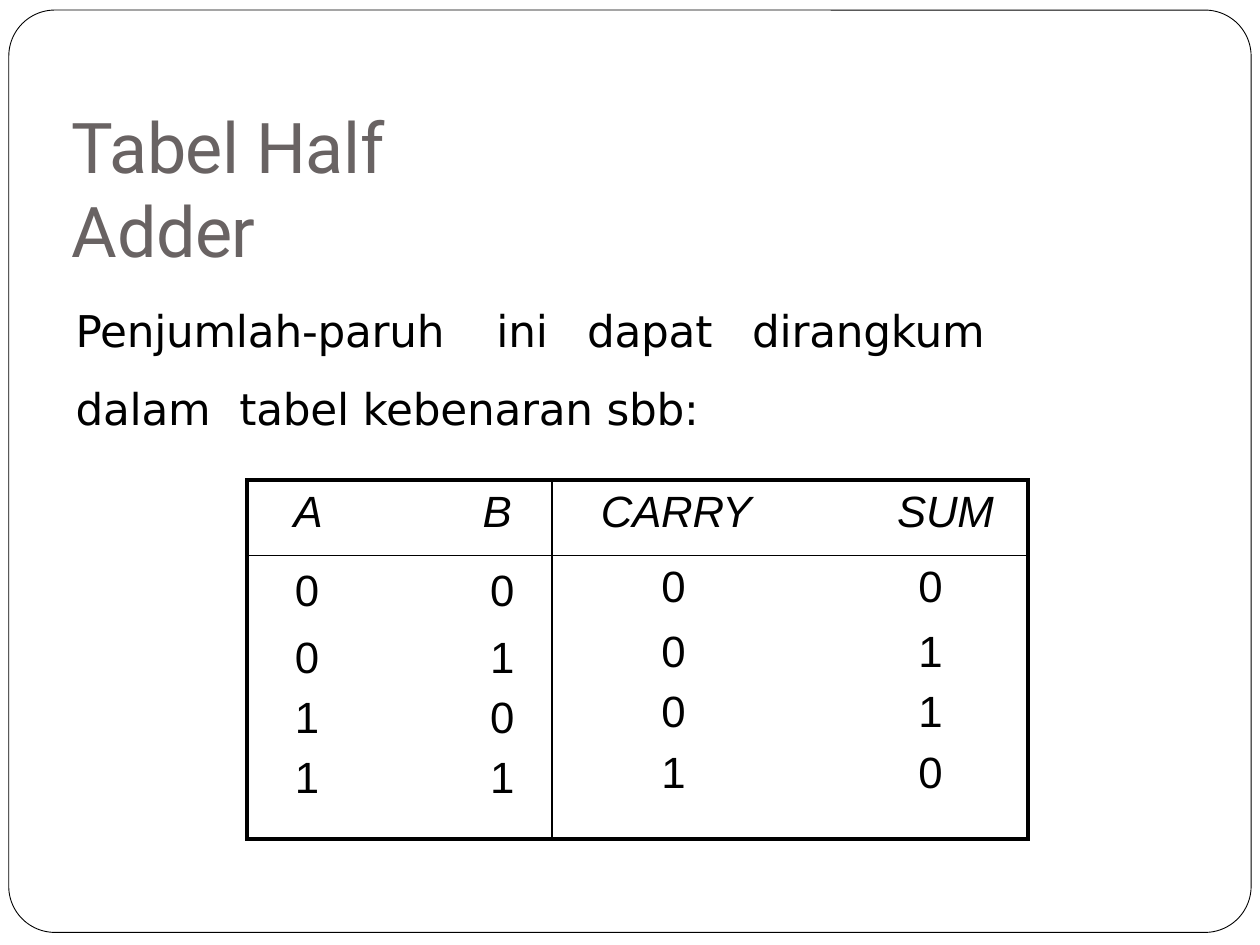
from lxml.etree import SubElement
from pptx import Presentation
from pptx.dml.color import RGBColor
from pptx.enum.shapes import MSO_SHAPE
from pptx.enum.text import MSO_ANCHOR, PP_ALIGN
from pptx.oxml.ns import qn
from pptx.util import Inches, Pt

BLACK = RGBColor(0x00, 0x00, 0x00)
GREY = RGBColor(0x69, 0x63, 0x63)
THICK, THIN = Pt(2.25), Pt(1)


def write(paragraph, text, font="Arial", size=25, color=BLACK, italic=False,
          tracking=-0.1, indent=0.01, tabs=(), before=0, line_spacing=1.0):
    """Fill a paragraph; indent and tabs are in inches, the rest in points."""
    properties = paragraph._p.get_or_add_pPr()
    properties.set("marL", str(Inches(indent)))
    if tabs:
        stops = SubElement(properties, qn("a:tabLst"))
        for tab in tabs:
            SubElement(stops, qn("a:tab"), pos=str(Inches(tab)), algn="l")
    paragraph.alignment = PP_ALIGN.LEFT
    paragraph.space_before = Pt(before)
    paragraph.line_spacing = line_spacing
    paragraph.text = text
    for run in paragraph.runs:
        run.font.name = font
        run.font.size = Pt(size)
        run.font.color.rgb = color
        run.font.bold = False
        run.font.italic = italic
        run._r.get_or_add_rPr().set("spc", str(round(tracking * 100)))


def set_borders(cell, **widths):
    """Draw black borders; widths are keyed by L, R, T and B."""
    properties = cell._tc.get_or_add_tcPr()
    for side in "LRTB":
        border = SubElement(properties, qn(f"a:ln{side}"), w=str(widths[side]))
        fill = SubElement(border, qn("a:solidFill"))
        SubElement(fill, qn("a:srgbClr"), val=str(BLACK))


presentation = Presentation()
presentation.slide_width = Inches(10)
presentation.slide_height = Inches(7.5)
slide = presentation.slides.add_slide(presentation.slide_layouts[5])

# Page frame
frame = slide.shapes.add_shape(MSO_SHAPE.ROUNDED_RECTANGLE, Inches(0.07),
                               Inches(0.08), Inches(9.86), Inches(7.32))
frame.adjustments[0] = 0.05
frame.shadow.inherit = False
frame.fill.background()
frame.line.color.rgb = BLACK
frame.line.width = Pt(0.5)

# Title and introduction
title = slide.shapes.title
title.left, title.top = Inches(0.55), Inches(0.8)
title.width, title.height = Inches(3.86), Inches(0.7)
intro = slide.shapes.add_textbox(Inches(0.59), Inches(2.19),
                                 Inches(8.64), Inches(1.27))
for holder, top_margin in ((title, 0.02), (intro, 0.01)):
    area = holder.text_frame
    area.word_wrap = True
    area.vertical_anchor = MSO_ANCHOR.TOP
    area.margin_left = area.margin_right = area.margin_bottom = 0
    area.margin_top = Inches(top_margin)
write(title.text_frame.paragraphs[0], "Tabel Half Adder",
      font="Roboto", size=40, color=GREY, tracking=-0.2, indent=0.02)
write(intro.text_frame.paragraphs[0],
      "Penjumlah-paruh\tini\tdapat\tdirangkum\vdalam\ttabel kebenaran sbb:",
      font="DejaVu Sans", tabs=(1.3, 3.34, 4.06, 5.37), line_spacing=1.5)

# Truth table: inputs on the left, outputs on the right
truth_table = slide.shapes.add_table(2, 2, Inches(1.96), Inches(3.81),
                                     Inches(6.2), Inches(2.85)).table
truth_table.first_row = truth_table.horz_banding = False
for column, width in zip(truth_table.columns, (2.42, 3.78)):
    column.width = Inches(width)
for row, height in zip(truth_table.rows, (0.6, 2.25)):
    row.height = Inches(height)

# Lines, indent, tab, top margin, space before each line
cell_contents = {
    (0, 0): (["A\tB"], 0.37, 1.5, 0.06, [0]),
    (0, 1): (["CARRY\tSUM"], 0.39, 2.35, 0.06, [0]),
    (1, 0): (["0\t0", "0\t1", "1\t0", "1\t1"], 0.38, 1.55, 0.09,
             [0, 10.3, 6.5, 6.5]),
    (1, 1): (["0\t0", "0\t1", "0\t1", "1\t0"], 0.87, 2.71, 0.06,
             [0, 9.3, 6.5, 6.8]),
}
for (row, column), (lines, indent, tab, top, gaps) in cell_contents.items():
    cell = truth_table.cell(row, column)
    set_borders(cell, L=THIN if column else THICK, R=THICK if column else THIN,
                T=THIN if row else THICK, B=THICK if row else THIN)
    cell.fill.background()
    cell.vertical_anchor = MSO_ANCHOR.TOP
    cell.margin_left = cell.margin_right = cell.margin_bottom = 0
    cell.margin_top = Inches(top)
    for number, (line, gap) in enumerate(zip(lines, gaps)):
        content = cell.text_frame
        paragraph = content.add_paragraph() if number else content.paragraphs[0]
        write(paragraph, line, italic=row == 0, indent=indent, tabs=(tab,),
              before=gap)

presentation.save("out.pptx")
